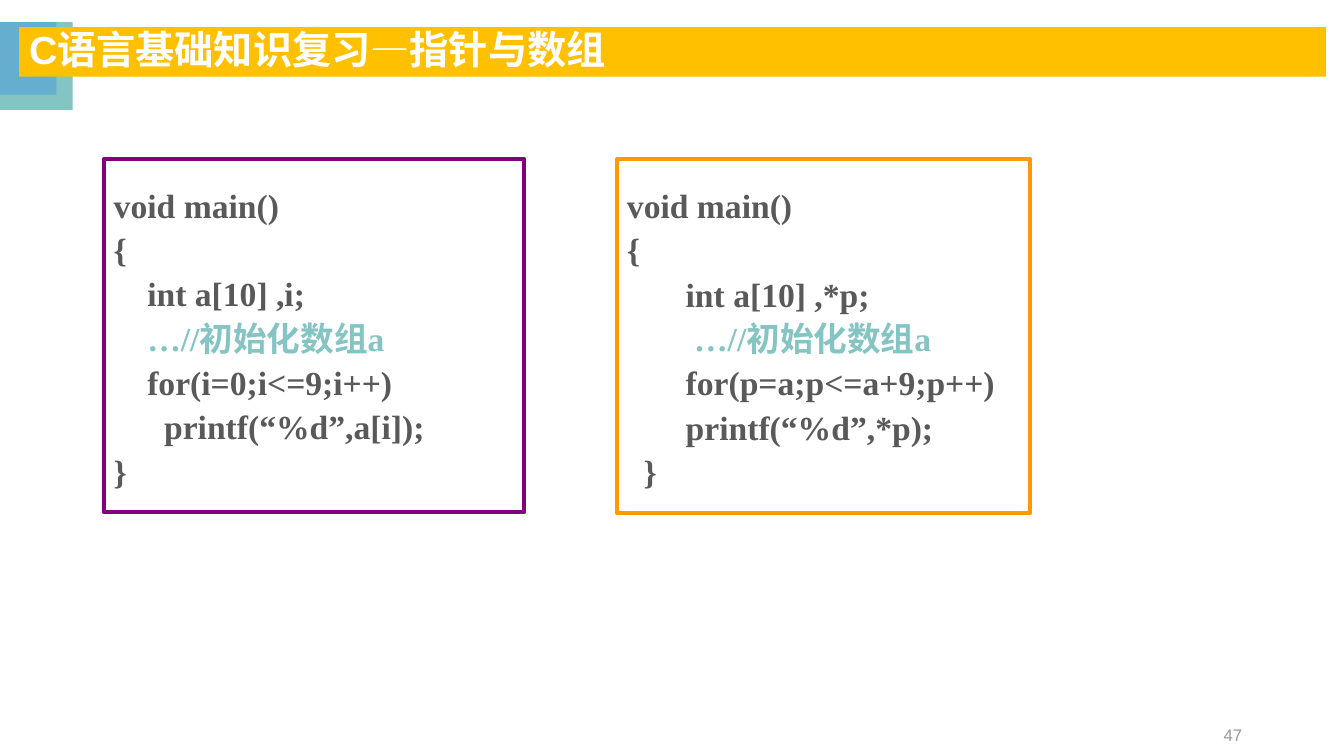
from pptx import Presentation
from pptx.dml.color import RGBColor
from pptx.enum.shapes import MSO_SHAPE
from pptx.enum.text import MSO_ANCHOR, PP_ALIGN
from pptx.util import Pt

PX = 9144  # 100 px to the inch

TEAL = RGBColor(0x84, 0xC4, 0xC3)
BLUE = RGBColor(0x65, 0xAE, 0xCF)
AMBER = RGBColor(0xFF, 0xC0, 0x00)
PURPLE = RGBColor(0x80, 0x00, 0x80)
ORANGE = RGBColor(0xFF, 0x99, 0x00)
WHITE = RGBColor(0xFF, 0xFF, 0xFF)
CODE_GREY = RGBColor(0x59, 0x59, 0x59)
NUMBER_GREY = RGBColor(0x9B, 0x9B, 0x9B)


def add_rect(left, top, width, height, fill=None, line=None):
    rect = slide.shapes.add_shape(
        MSO_SHAPE.RECTANGLE, left * PX, top * PX, width * PX, height * PX)
    rect.shadow.inherit = False
    if fill is None:
        rect.fill.background()
    else:
        rect.fill.solid()
        rect.fill.fore_color.rgb = fill
    if line is None:
        rect.line.fill.background()
    else:
        rect.line.color.rgb = line
        rect.line.width = Pt(3)
    rect.text_frame.vertical_anchor = MSO_ANCHOR.MIDDLE
    return rect


def write(paragraph, text, font_name, size, color, bold=False,
          align=PP_ALIGN.LEFT, spacing=1.0):
    paragraph.text = text
    paragraph.alignment = align
    paragraph.line_spacing = spacing
    paragraph.font.name = font_name
    paragraph.font.size = Pt(size)
    paragraph.font.bold = bold
    paragraph.font.color.rgb = color


deck = Presentation()
deck.slide_width = 1333 * PX
deck.slide_height = 750 * PX
slide = deck.slides.add_slide(deck.slide_layouts[6])

# Corner decoration
add_rect(0, 22, 72, 87, fill=TEAL)
add_rect(0, 22, 56, 72, fill=BLUE)

# Slide number
page_number = slide.shapes.add_textbox(942 * PX, 709 * PX, 300 * PX, 40 * PX).text_frame
page_number.word_wrap = True
page_number.vertical_anchor = MSO_ANCHOR.MIDDLE
write(page_number.paragraphs[0], "47", "Arial", 12, NUMBER_GREY, align=PP_ALIGN.RIGHT)

# Title bar
title = add_rect(19, 27, 1296, 49, fill=AMBER).text_frame
title.word_wrap = True
write(title.paragraphs[0], "C语言基础知识复习—指针与数组", "Arial", 28, WHITE,
      bold=True, spacing=0.9)

# Code panels: array index on the left, pointer on the right
index_code = """void main()
{
    int a[10] ,i;
    …//初始化数组a
    for(i=0;i<=9;i++)
\tprintf(“%d”,a[i]);
}"""
pointer_code = """void main()
{
       int a[10] ,*p;
        …//初始化数组a
       for(p=a;p<=a+9;p++)
\t printf(“%d”,*p);
  }"""

for left, width, height, border, code in [
    (103, 417, 350, PURPLE, index_code),
    (612, 410, 351, ORANGE, pointer_code),
]:
    panel = add_rect(left, 158, width, height, line=border).text_frame
    panel.word_wrap = False
    for number, code_line in enumerate(code.split("\n")):
        paragraph = panel.add_paragraph() if number else panel.paragraphs[0]
        color = TEAL if "//" in code_line else CODE_GREY
        write(paragraph, code_line, "Times New Roman", 24, color, bold=True, spacing=1.1)

deck.save("out.pptx")
